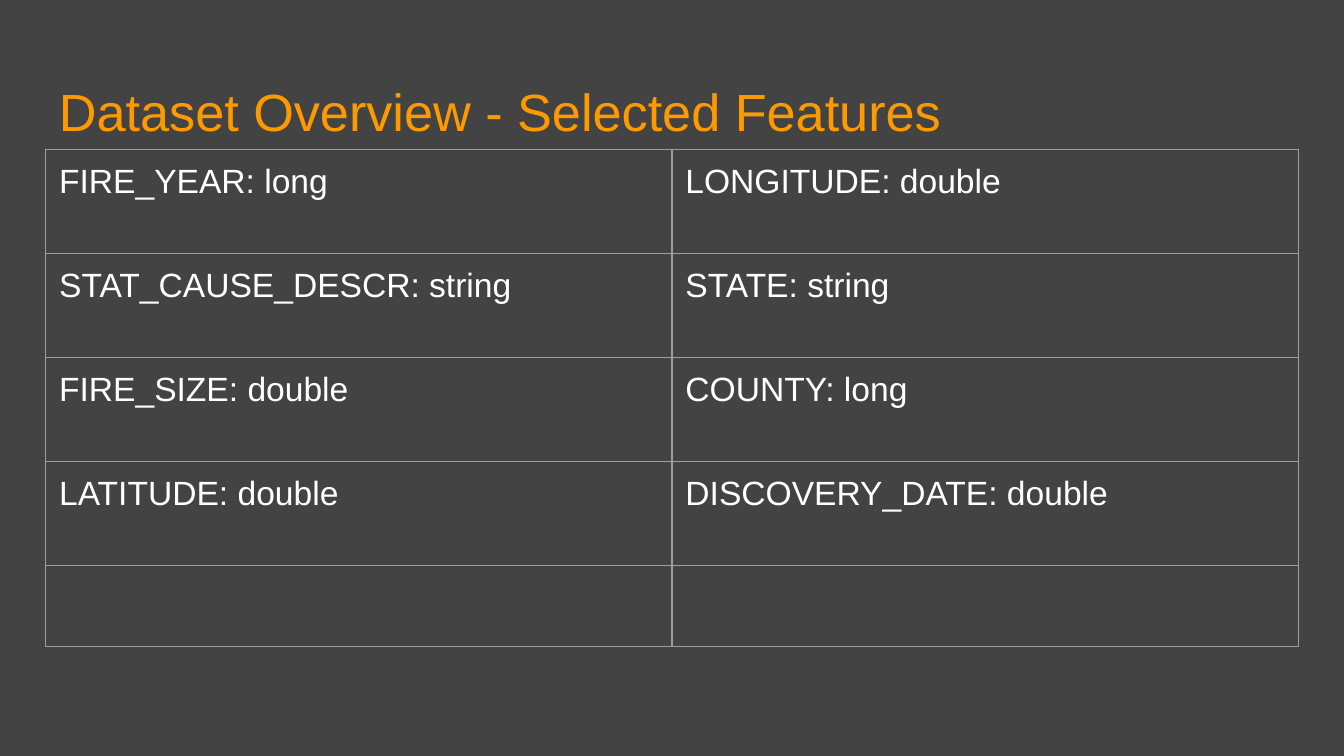
from typing import NamedTuple

from lxml import etree
from pptx import Presentation
from pptx.dml.color import RGBColor
from pptx.enum import text
from pptx.oxml import ns
from pptx.util import Inches, Pt

BACKGROUND = RGBColor(0x43, 0x43, 0x43)
ORANGE = RGBColor(0xFF, 0x99, 0x00)
WHITE = RGBColor(0xFF, 0xFF, 0xFF)
GRID_GREY = RGBColor(0x9E, 0x9E, 0x9E)

FONT = "Arial"
LEFT, WIDTH = 0.34, 9.32
TABLE_TOP = 1.11
FEATURES_HEIGHT, EMPTY_HEIGHT = 3.1, 0.6
MARGIN = 0.1


class Feature(NamedTuple):
    name: str
    kind: str


FEATURE_ROWS = [
    (Feature("FIRE_YEAR", "long"), Feature("LONGITUDE", "double")),
    (Feature("STAT_CAUSE_DESCR", "string"), Feature("STATE", "string")),
    (Feature("FIRE_SIZE", "double"), Feature("COUNTY", "long")),
    (Feature("LATITUDE", "double"), Feature("DISCOVERY_DATE", "double")),
]


def add_span(para, words: str, size: int, color: RGBColor) -> None:
    span = para.add_run()
    span.text = words
    span.font.name = FONT
    span.font.size = Pt(size)
    span.font.color.rgb = color


def add_title(page, words: str) -> None:
    box = page.shapes.add_textbox(Inches(LEFT), Inches(0.49), Inches(WIDTH), Inches(0.63))
    frame = box.text_frame
    frame.word_wrap = True
    frame.vertical_anchor = text.MSO_ANCHOR.TOP
    frame.margin_left = frame.margin_right = Inches(MARGIN)
    frame.margin_top = frame.margin_bottom = Inches(MARGIN)
    add_span(frame.paragraphs[0], words, 28, ORANGE)


def style_cell(cell) -> None:
    """Give the cell a thin border, no fill and its margins."""
    properties = cell._tc.get_or_add_tcPr()
    for side in ("a:lnL", "a:lnR", "a:lnT", "a:lnB"):
        line = etree.SubElement(properties, ns.qn(side), w=str(Pt(0.75)))
        fill = etree.SubElement(line, ns.qn("a:solidFill"))
        etree.SubElement(fill, ns.qn("a:srgbClr"), val=str(GRID_GREY))
    cell.fill.background()
    cell.margin_left = cell.margin_right = cell.margin_top = Inches(MARGIN)
    cell.margin_bottom = 0


def add_feature_table(page, rows: list[tuple[Feature, ...]]) -> None:
    """Draw the features in a grid that ends with an empty row."""
    columns = len(rows[0])
    heights = [FEATURES_HEIGHT / len(rows)] * len(rows) + [EMPTY_HEIGHT]
    table = page.shapes.add_table(
        len(heights), columns, Inches(LEFT), Inches(TABLE_TOP),
        Inches(WIDTH), Inches(sum(heights)),
    ).table
    table.first_row = table.horz_banding = False
    for column in table.columns:
        column.width = Inches(WIDTH / columns)
    for row, height in zip(table.rows, heights):
        row.height = Inches(height)
    for cell in table.iter_cells():
        style_cell(cell)
    for row, features in zip(table.rows, rows):
        for cell, feature in zip(row.cells, features):
            para = cell.text_frame.paragraphs[0]
            para.space_after = Pt(16)
            add_span(para, f"{feature.name}: {feature.kind}", 18, WHITE)


def main() -> None:
    deck = Presentation()
    deck.slide_width = Inches(10)
    deck.slide_height = deck.slide_width * 9 // 16
    page = deck.slides.add_slide(deck.slide_layouts[6])
    page.background.fill.solid()
    page.background.fill.fore_color.rgb = BACKGROUND
    add_title(page, "Dataset Overview - Selected Features")
    add_feature_table(page, FEATURE_ROWS)
    deck.save("out.pptx")


if __name__ == "__main__":
    main()
